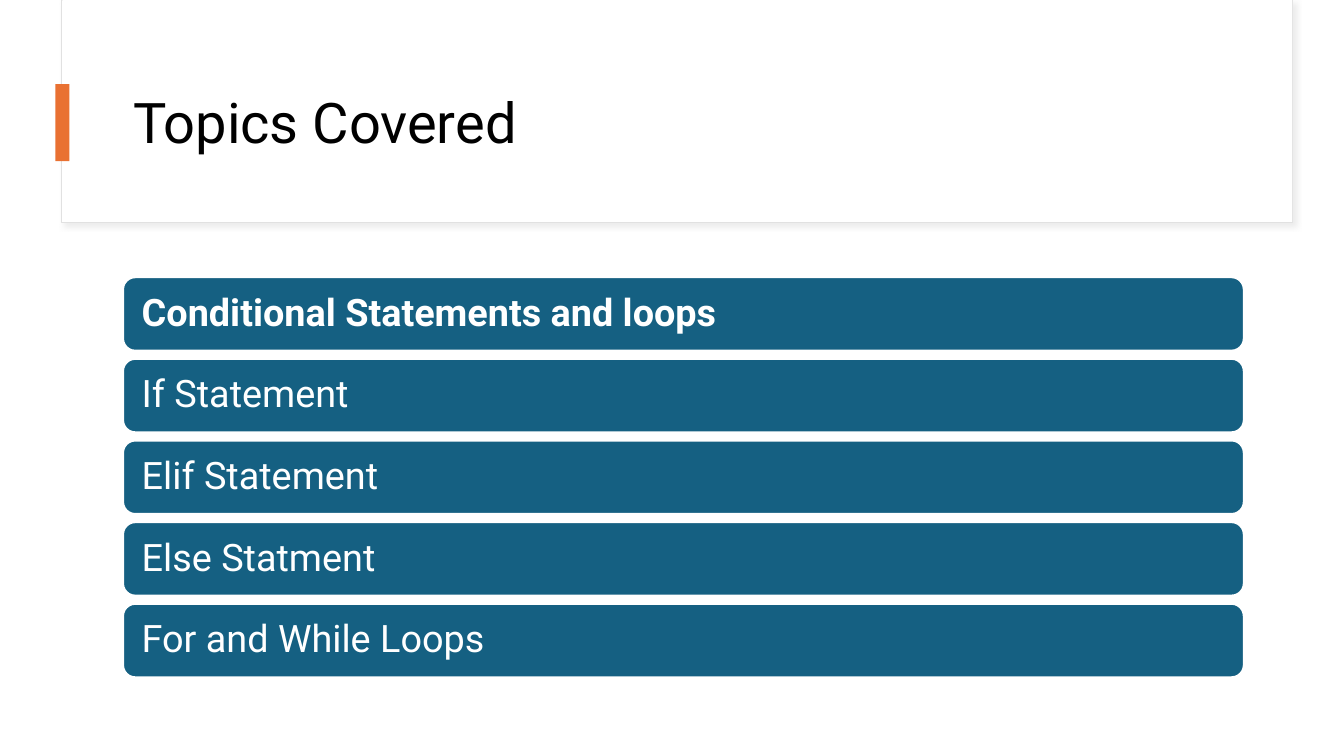
from lxml import etree
from pptx import Presentation
from pptx.dml.color import RGBColor
from pptx.enum.shapes import MSO_SHAPE
from pptx.enum.text import MSO_ANCHOR, MSO_AUTO_SIZE, PP_ALIGN
from pptx.oxml.ns import qn
from pptx.util import Pt

HEADING = "Topics Covered"
TOPICS = [
    ("Conditional Statements and loops", True),
    ("If Statement", False),
    ("Elif Statement", False),
    ("Else Statment", False),
    ("For and While Loops", False),
]

FONT = "Roboto"
WHITE = RGBColor(0xFF, 0xFF, 0xFF)
BLACK = RGBColor(0, 0, 0)
TEAL = RGBColor(0x15, 0x60, 0x82)
ORANGE = RGBColor(0xE9, 0x71, 0x32)
PALE_GREY = RGBColor(0xE1, 0xE1, 0xE1)
SHADOW_GREY = RGBColor(0xD9, 0xD9, 0xD9)
RECTANGLE = MSO_SHAPE.RECTANGLE
ROUNDED = MSO_SHAPE.ROUNDED_RECTANGLE
MIDDLE = MSO_ANCHOR.MIDDLE
LEFT = PP_ALIGN.LEFT
NO_AUTOFIT = MSO_AUTO_SIZE.NONE

CONTENT_LEFT, CONTENT_WIDTH = 87.84, 800.64
BAR_TOP, BAR_HEIGHT, BAR_PITCH = 198, 52.56, 58.32
BAR_INSET = 10.8


def add_block(slide, kind, left, top, width, height, fill, line=None, line_width=0):
    block = slide.shapes.add_shape(kind, Pt(left), Pt(top), Pt(width), Pt(height))
    block.shadow.inherit = False
    block.fill.solid()
    block.fill.fore_color.rgb = fill
    if line is None:
        block.line.fill.background()
    else:
        block.line.color.rgb = line
        block.line.width = Pt(line_width)
    return block


def cast_shadow(block, blur, distance, degrees, opacity):
    effects = block._element.spPr.find(qn("a:effectLst"))
    shadow = etree.SubElement(
        effects, qn("a:outerShdw"), blurRad=str(Pt(blur)), dist=str(Pt(distance)),
        dir=str(degrees * 60000), algn="tl", rotWithShape="0")
    colour = etree.SubElement(shadow, qn("a:srgbClr"), val=str(SHADOW_GREY))
    etree.SubElement(colour, qn("a:alpha"), val=str(opacity * 1000))


def write_line(frame, text, size, colour, bold=False):
    frame.word_wrap = True
    frame.auto_size = NO_AUTOFIT
    frame.vertical_anchor = MIDDLE
    paragraph = frame.paragraphs[0]
    paragraph.alignment = LEFT
    paragraph.line_spacing = 0.9
    run = paragraph.add_run()
    run.text = text
    run.font.name = FONT
    run.font.size = Pt(size)
    run.font.bold = bold
    run.font.color.rgb = colour


def main():
    deck = Presentation()
    deck.slide_width, deck.slide_height = Pt(960), Pt(540)
    slide = deck.slides.add_slide(deck.slide_layouts[5])

    panel = add_block(slide, RECTANGLE, 44, 0, 879, 159, WHITE, PALE_GREY, 0.75)
    cast_shadow(panel, blur=4, distance=3, degrees=45, opacity=50)
    add_block(slide, RECTANGLE, 44.5, 0, 878.5, 158.5, WHITE)

    title = slide.shapes.title
    title.left, title.top = Pt(CONTENT_LEFT), Pt(43.2)
    title.width, title.height = Pt(CONTENT_WIDTH), Pt(92.88)
    write_line(title.text_frame, HEADING, 40, BLACK)
    slide.shapes._spTree.append(title._element)

    add_block(slide, RECTANGLE, 39.6, 60, 10, 55.2, ORANGE)

    for index, (topic, bold) in enumerate(TOPICS):
        bar = add_block(slide, ROUNDED, CONTENT_LEFT, BAR_TOP + index * BAR_PITCH,
                        CONTENT_WIDTH, BAR_HEIGHT, TEAL, WHITE, 1.5)
        frame = bar.text_frame
        frame.margin_left = frame.margin_right = Pt(BAR_INSET)
        frame.margin_top = frame.margin_bottom = Pt(BAR_INSET)
        write_line(frame, topic, 27, WHITE, bold)

    deck.save("out.pptx")


if __name__ == "__main__":
    main()
